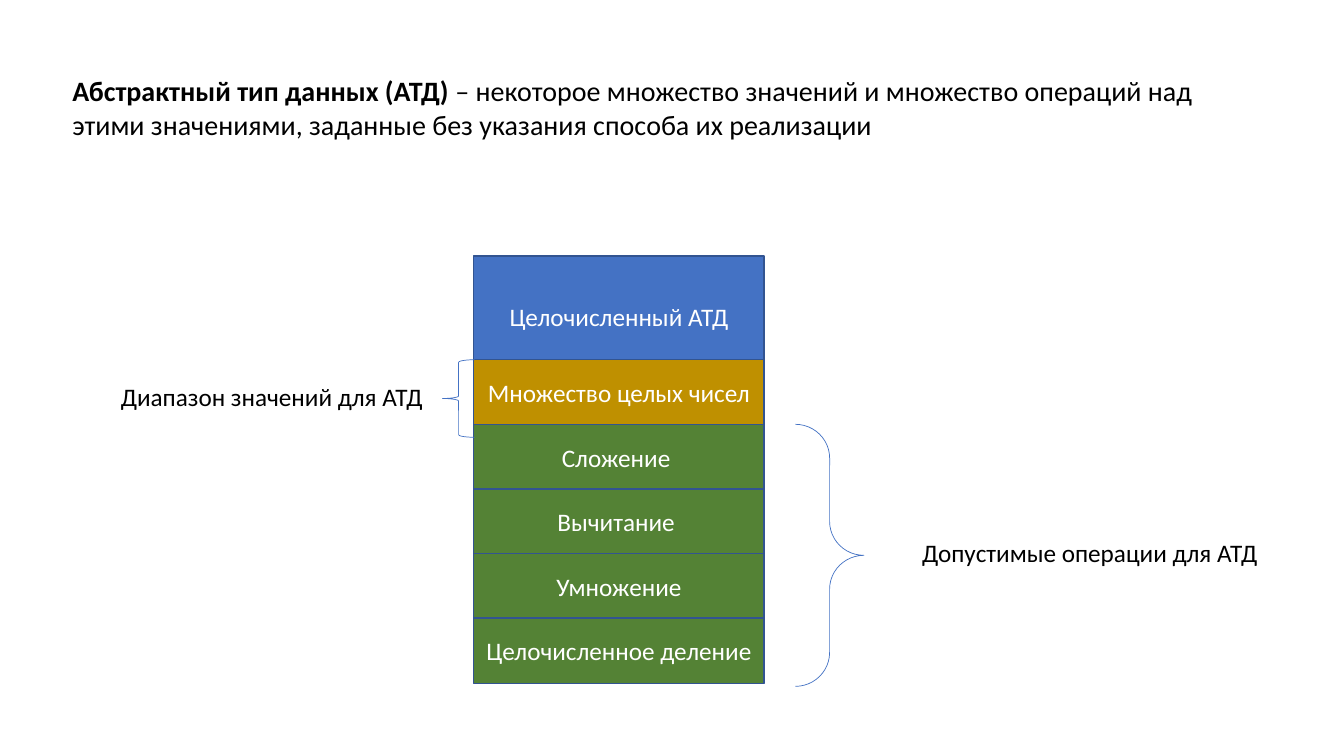
from dataclasses import dataclass

from pptx import Presentation
from pptx.dml.color import RGBColor
from pptx.enum.shapes import MSO_SHAPE
from pptx.enum.text import MSO_ANCHOR, MSO_AUTO_SIZE, PP_ALIGN
from pptx.util import Pt

RECTANGLE = MSO_SHAPE.RECTANGLE
LEFT_BRACE = MSO_SHAPE.LEFT_BRACE
RIGHT_BRACE = MSO_SHAPE.RIGHT_BRACE
TOP = MSO_ANCHOR.TOP
MIDDLE = MSO_ANCHOR.MIDDLE
CENTER = PP_ALIGN.CENTER
FIT_TEXT = MSO_AUTO_SIZE.SHAPE_TO_FIT_TEXT


@dataclass(frozen=True)
class Theme:
    """Colours, type sizes and line widths of the slide."""
    font: str = "Calibri"
    black: RGBColor = RGBColor(0x00, 0x00, 0x00)
    white: RGBColor = RGBColor(0xFF, 0xFF, 0xFF)
    blue: RGBColor = RGBColor(0x44, 0x72, 0xC4)
    outline: RGBColor = RGBColor(0x32, 0x54, 0x91)
    gold: RGBColor = RGBColor(0xBF, 0x90, 0x00)
    green: RGBColor = RGBColor(0x54, 0x82, 0x35)
    definition_size: int = 20
    label_size: int = 18
    box_line: float = 1
    brace_line: float = 0.5


THEME = Theme()
STACK_LEFT, STACK_WIDTH = 338.4, 207.4
HEADER_TOP, HEADER_HEIGHT, HEADER_INSET = 182.9, 213.1, 32.6
ROWS_TOP, ROW_PITCH, ROW_HEIGHT = 257, 46.1, 46.8


def add_run(paragraph, text, size, color, bold=False):
    """Append one formatted run to a paragraph."""
    run = paragraph.add_run()
    run.text = text
    run.font.name = THEME.font
    run.font.size = Pt(size)
    run.font.color.rgb = color
    run.font.bold = bold


def add_text(slide, left, top, width, height, runs, size, wrap=False):
    """Add a text box from (text, bold) runs."""
    box = slide.shapes.add_textbox(Pt(left), Pt(top), Pt(width), Pt(height))
    frame = box.text_frame
    frame.word_wrap = wrap
    frame.auto_size = FIT_TEXT
    for text, bold in runs:
        add_run(frame.paragraphs[0], text, size, THEME.black, bold)


def add_box(slide, top, height, text, fill, anchor=MIDDLE):
    """Add one captioned rectangle of the stack."""
    shape = slide.shapes.add_shape(
        RECTANGLE, Pt(STACK_LEFT), Pt(top), Pt(STACK_WIDTH), Pt(height))
    shape.shadow.inherit = False
    shape.fill.solid()
    shape.fill.fore_color.rgb = fill
    shape.line.color.rgb = THEME.outline
    shape.line.width = Pt(THEME.box_line)
    frame = shape.text_frame
    frame.word_wrap = True
    frame.vertical_anchor = anchor
    paragraph = frame.paragraphs[0]
    paragraph.alignment = CENTER
    add_run(paragraph, text, THEME.label_size, THEME.white)
    return shape


def add_brace(slide, kind, left, top, width, height, curl):
    """Add an unfilled brace with the given curl."""
    brace = slide.shapes.add_shape(
        kind, Pt(left), Pt(top), Pt(width), Pt(height))
    brace.shadow.inherit = False
    brace.fill.background()
    brace.line.color.rgb = THEME.blue
    brace.line.width = Pt(THEME.brace_line)
    brace.adjustments[0] = curl


def add_stack(slide):
    """Add the header box and the rows laid over its lower part."""
    header = add_box(slide, HEADER_TOP, HEADER_HEIGHT, "Целочисленный АТД",
                     THEME.blue, TOP)
    header.text_frame.margin_top = Pt(HEADER_INSET)
    rows = [
        ("Множество целых чисел", THEME.gold),
        ("Сложение ", THEME.green),
        ("Вычитание ", THEME.green),
        ("Умножение", THEME.green),
        ("Целочисленное деление", THEME.green),
    ]
    for index, (text, fill) in enumerate(rows):
        add_box(slide, ROWS_TOP + index * ROW_PITCH, ROW_HEIGHT, text, fill)


def main():
    """Build the slide and save it."""
    presentation = Presentation()
    presentation.slide_width = Pt(960)
    presentation.slide_height = Pt(540)
    slide = presentation.slides.add_slide(presentation.slide_layouts[6])
    definition = [
        ("Абстрактный тип данных (АТД) ", True),
        ("– некоторое множество значений и множество операций над этими "
         "значениями, заданные без указания способа их реализации", False),
    ]
    add_text(slide, 44.6, 49, 870.5, 55.7, definition,
             THEME.definition_size, wrap=True)
    add_stack(slide)
    add_brace(slide, RIGHT_BRACE, 568.1, ROWS_TOP + ROW_PITCH, 49, 187.2, 0.494)
    add_text(slide, 651.6, 380.2, 257, 29,
             [("Допустимые операции для АТД", False)], THEME.label_size)
    add_text(slide, 79.2, 268.6, 236.9, 29,
             [("Диапазон значений для АТД", False)], THEME.label_size)
    add_brace(slide, LEFT_BRACE, 316.1, ROWS_TOP, 23, 55.4, 0.08)
    presentation.save("out.pptx")


if __name__ == "__main__":
    main()
